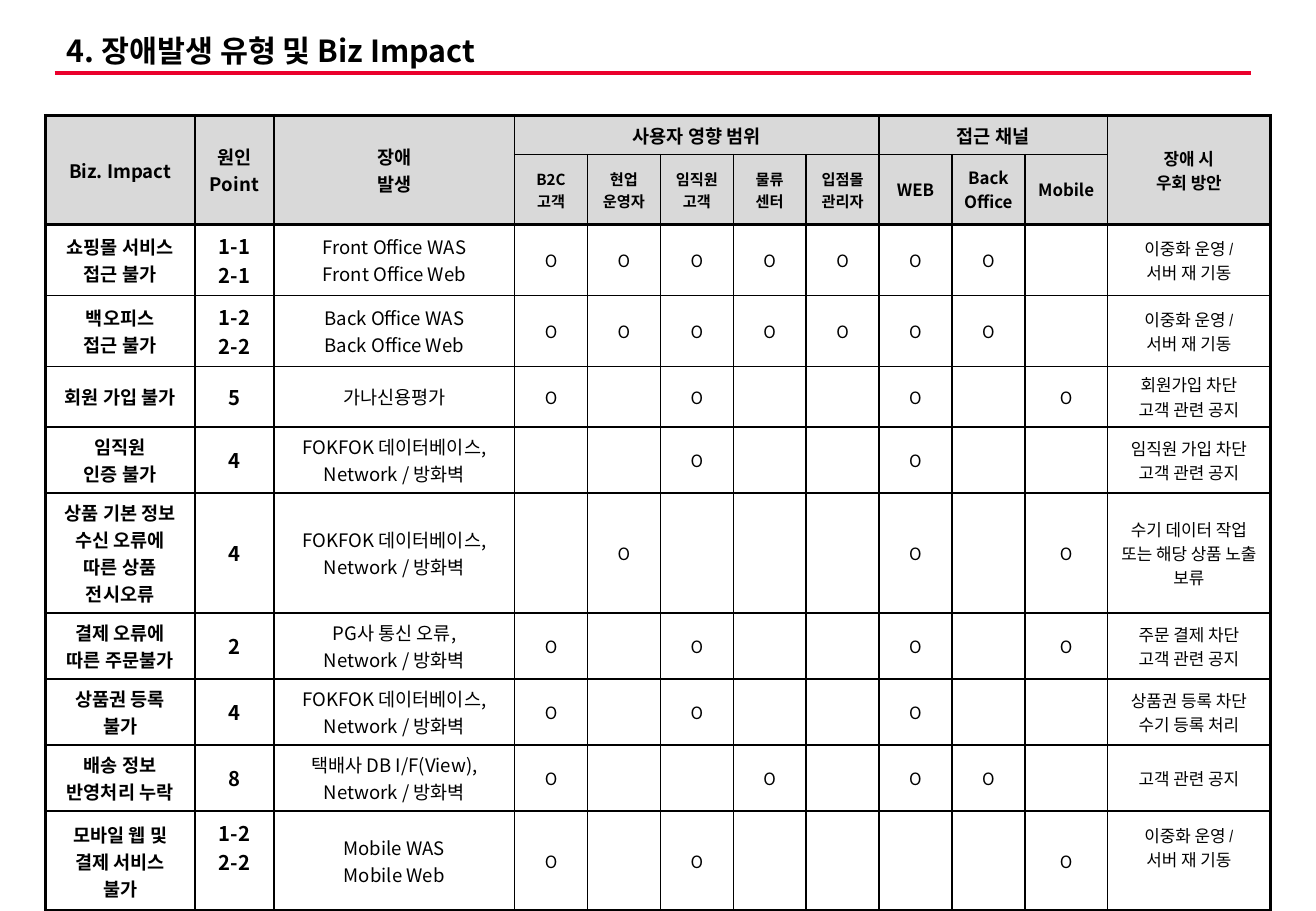
from lxml.etree import SubElement
from pptx import Presentation
from pptx.dml.color import RGBColor
from pptx.enum.shapes import MSO_CONNECTOR
from pptx.enum.text import MSO_ANCHOR, PP_ALIGN
from pptx.oxml.ns import qn
from pptx.util import Pt

MAIN_FONT = "Noto Sans CJK KR"
NARROW_FONT = "Arial Narrow"
BLACK, WHITE, GREY, RED = "000000", "FFFFFF", "D9D9D9", "EA002C"

COLUMN_WIDTHS = [88.5, 47, 142.5] + [43.2] * 7 + [49, 96.5]
ROW_HEIGHTS = [23, 41.5, 42, 42, 36, 39, 71, 39, 39, 39, 59]
BODY_SIZES = [11, 12, 11] + [10] * 9
THICK_ROW_EDGES = {0, 2, len(ROW_HEIGHTS)}
THICK_COLUMN_EDGES = {0, len(COLUMN_WIDTHS)}

# (row, column, row span, column span, text, size, font)
HEADERS = [
    (0, 0, 2, 1, "Biz. Impact", 11, MAIN_FONT),
    (0, 1, 2, 1, "원인\vPoint", 11, MAIN_FONT),
    (0, 2, 2, 1, "장애\n발생", 11, MAIN_FONT),
    (0, 3, 1, 5, "사용자 영향 범위", 11, NARROW_FONT),
    (0, 8, 1, 3, "접근 채널", 11, NARROW_FONT),
    (0, 11, 2, 1, "장애 시\n우회 방안", 10, MAIN_FONT),
    (1, 3, 1, 1, "B2C\n고객", 9, MAIN_FONT),
    (1, 4, 1, 1, "현업\n운영자", 9, MAIN_FONT),
    (1, 5, 1, 1, "임직원\n고객", 9, MAIN_FONT),
    (1, 6, 1, 1, "물류\n센터", 9, MAIN_FONT),
    (1, 7, 1, 1, "입점몰\n관리자", 9, MAIN_FONT),
    (1, 8, 1, 1, "WEB", 10, MAIN_FONT),
    (1, 9, 1, 1, "Back\vOffice", 10, MAIN_FONT),
    (1, 10, 1, 1, "Mobile", 10, MAIN_FONT),
]

RESTART = "이중화 운영 /\n서버 재 기동"
DATABASE = "FOKFOK 데이터베이스,\nNetwork / 방화벽"
# (impact, cause point, failure, affected users and channels, workaround)
FAILURES = [
    ("쇼핑몰 서비스\n접근 불가", "1-1\n2-1", "Front Office WAS\nFront Office Web", "OOOOOOO-", RESTART),
    ("백오피스\n접근 불가", "1-2\n2-2", "Back Office WAS\nBack Office Web", "OOOOOOO-", RESTART),
    ("회원 가입 불가", "5", "가나신용평가", "O-O--O-O", "회원가입 차단\n고객 관련 공지"),
    ("임직원\n인증 불가", "4", DATABASE, "--O--O--", "임직원 가입 차단\n고객 관련 공지"),
    ("상품 기본 정보\n수신 오류에 따른 상품 전시오류", "4", DATABASE, "-O---O-O",
     "수기 데이터 작업\n또는 해당 상품 노출 보류"),
    ("결제 오류에\n따른 주문불가", "2", "PG사 통신 오류,\nNetwork / 방화벽", "O-O--O-O",
     "주문 결제 차단\n고객 관련 공지"),
    ("상품권 등록\n불가", "4", DATABASE, "O-O--O--", "상품권 등록 차단\n수기 등록 처리"),
    ("배송 정보\n반영처리 누락", "8", "택배사 DB I/F(View),\nNetwork / 방화벽", "O--O-OO-", "고객 관련 공지"),
    ("모바일 웹 및\n결제 서비스\n불가", "1-2\n2-2", "Mobile WAS\nMobile Web", "O-O----O", RESTART),
]


def color(hex_string):
    """Turn a hex string into a colour."""
    return RGBColor.from_string(hex_string)


def format_text(text_frame, size, bold, font, alignment):
    """Format every paragraph and run of a text frame."""
    for paragraph in text_frame.paragraphs:
        paragraph.alignment = alignment
        for run in paragraph.runs:
            run.font.size = Pt(size)
            run.font.bold = bold
            run.font.name = font
            run.font.color.rgb = color(BLACK)
            east_asian = SubElement(run.font._element, qn("a:ea"))
            east_asian.set("typeface", MAIN_FONT)


def add_title(slide, text):
    """Place the slide title in its placeholder."""
    title = slide.shapes.title
    title.left, title.top, title.width, title.height = Pt(32.4), Pt(18), Pt(686), Pt(26.6)
    title.text_frame.text = text
    title.text_frame.vertical_anchor = MSO_ANCHOR.MIDDLE
    title.text_frame.paragraphs[0].line_spacing = 0.9
    format_text(title.text_frame, 18, True, MAIN_FONT, PP_ALIGN.LEFT)


def add_rule(slide, left, right, top):
    """Draw the red line under the title."""
    rule = slide.shapes.add_connector(MSO_CONNECTOR.STRAIGHT, Pt(left), Pt(top), Pt(right), Pt(top))
    rule.line.color.rgb = color(RED)
    rule.line.width = Pt(2.25)
    SubElement(rule._element.spPr, qn("a:effectLst"))


def set_borders(cell, row, column):
    """Give a cell thick lines on the frame and under the header, thin ones elsewhere."""
    bottom = row + (cell.span_height if cell.is_merge_origin else 1)
    right = column + (cell.span_width if cell.is_merge_origin else 1)
    thick = {
        "a:lnL": column in THICK_COLUMN_EDGES,
        "a:lnR": right in THICK_COLUMN_EDGES,
        "a:lnT": row in THICK_ROW_EDGES,
        "a:lnB": bottom in THICK_ROW_EDGES,
    }
    properties = cell._tc.get_or_add_tcPr()
    for position, (tag, is_thick) in enumerate(thick.items()):
        border = properties.makeelement(qn(tag), {"w": str(Pt(2.25 if is_thick else 1))})
        fill = SubElement(border, qn("a:solidFill"))
        SubElement(fill, qn("a:srgbClr")).set("val", BLACK)
        properties.insert(position, border)


def write_cell(cell, text, size, bold, font=MAIN_FONT):
    """Write centred text into a cell."""
    cell.text_frame.text = text
    format_text(cell.text_frame, size, bold, font, PP_ALIGN.CENTER)


def add_grid(slide):
    """Add the empty table with its column widths and row heights."""
    table = slide.shapes.add_table(
        len(ROW_HEIGHTS), len(COLUMN_WIDTHS), Pt(27), Pt(68.4),
        Pt(sum(COLUMN_WIDTHS)), Pt(sum(ROW_HEIGHTS))).table
    table.first_row = table.horz_banding = False
    for column, width in zip(table.columns, COLUMN_WIDTHS):
        column.width = Pt(width)
    for row, height in zip(table.rows, ROW_HEIGHTS):
        row.height = Pt(height)
    return table


def fill_header(table):
    """Merge and label the two header rows."""
    for row, column, row_span, column_span, text, size, font in HEADERS:
        cell = table.cell(row, column)
        if row_span * column_span > 1:
            cell.merge(table.cell(row + row_span - 1, column + column_span - 1))
        write_cell(cell, text, size, True, font)


def fill_body(table):
    """Write one row per failure type."""
    for row, (impact, point, failure, marks, workaround) in enumerate(FAILURES, start=2):
        texts = [impact, point, failure, *marks.replace("-", " "), workaround]
        for column, (text, size) in enumerate(zip(texts, BODY_SIZES)):
            font = NARROW_FONT if text == RESTART else MAIN_FONT
            write_cell(table.cell(row, column), text.strip(), size, column < 2, font)
    for column in (1, 11):
        table.cell(len(ROW_HEIGHTS) - 1, column).margin_bottom = Pt(20)


def style_cells(table):
    """Set fill, anchor and borders of all cells."""
    for row in range(len(ROW_HEIGHTS)):
        for column in range(len(COLUMN_WIDTHS)):
            cell = table.cell(row, column)
            cell.vertical_anchor = MSO_ANCHOR.MIDDLE
            cell.fill.solid()
            cell.fill.fore_color.rgb = color(GREY if row < 2 else WHITE)
            set_borders(cell, row, column)


def main():
    """Build the slide and save it."""
    presentation = Presentation()
    presentation.slide_width, presentation.slide_height = Pt(780), Pt(540)
    slide = presentation.slides.add_slide(presentation.slide_layouts[5])
    add_rule(slide, 32.4, 741.6, 43.2)
    add_title(slide, "4. 장애발생 유형 및 Biz Impact")
    table = add_grid(slide)
    fill_header(table)
    fill_body(table)
    style_cells(table)
    presentation.save("out.pptx")


main()
